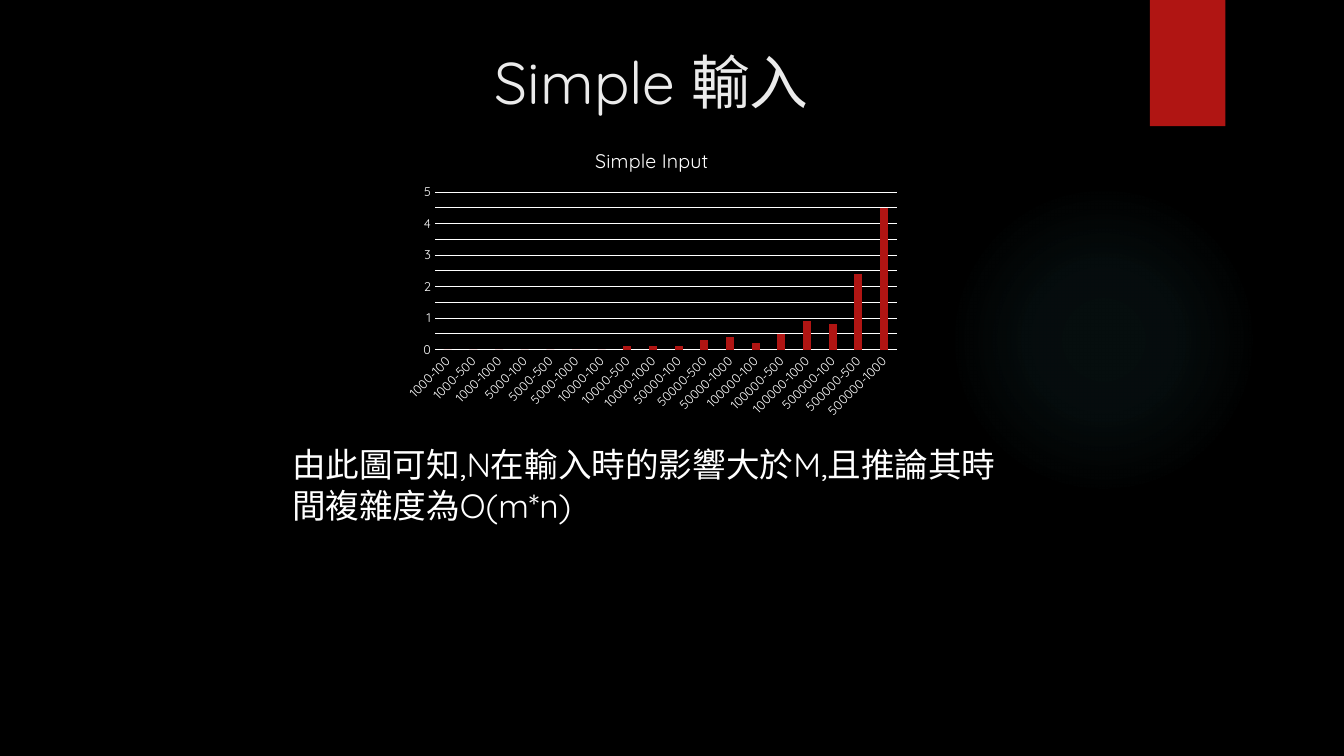
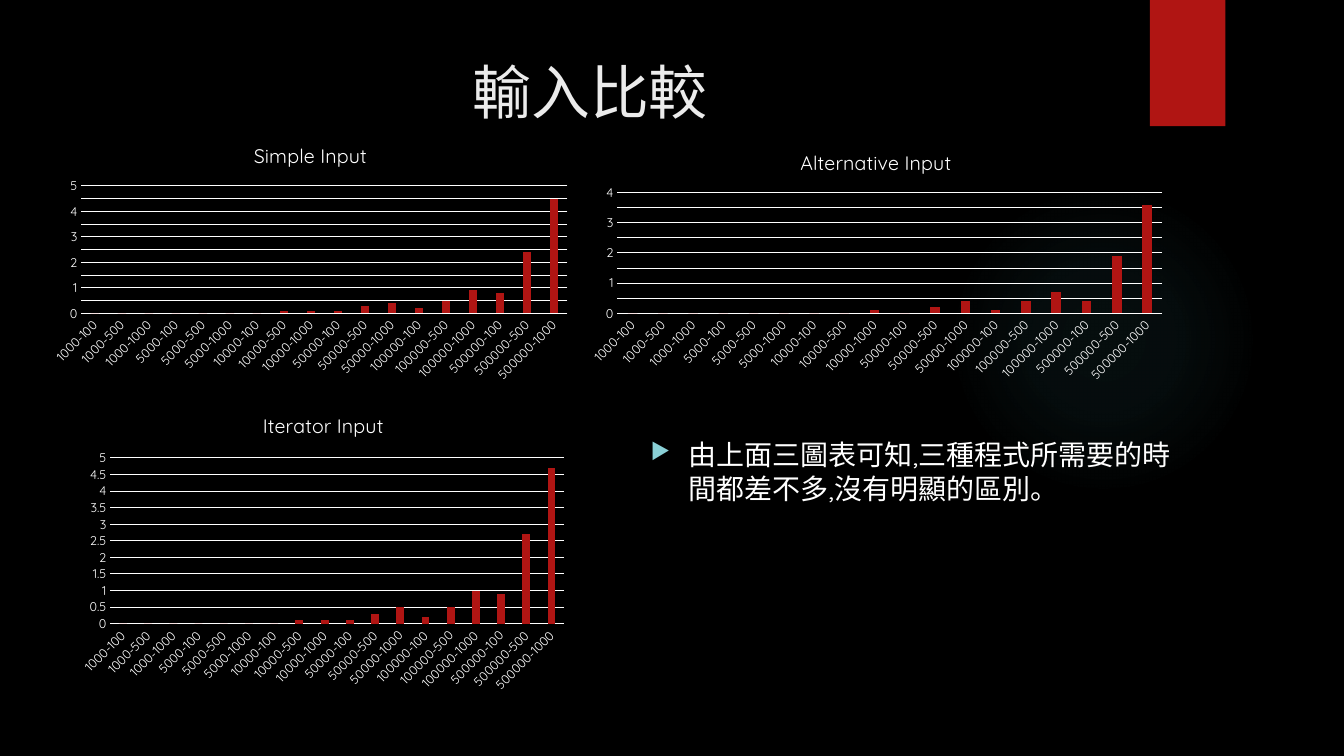
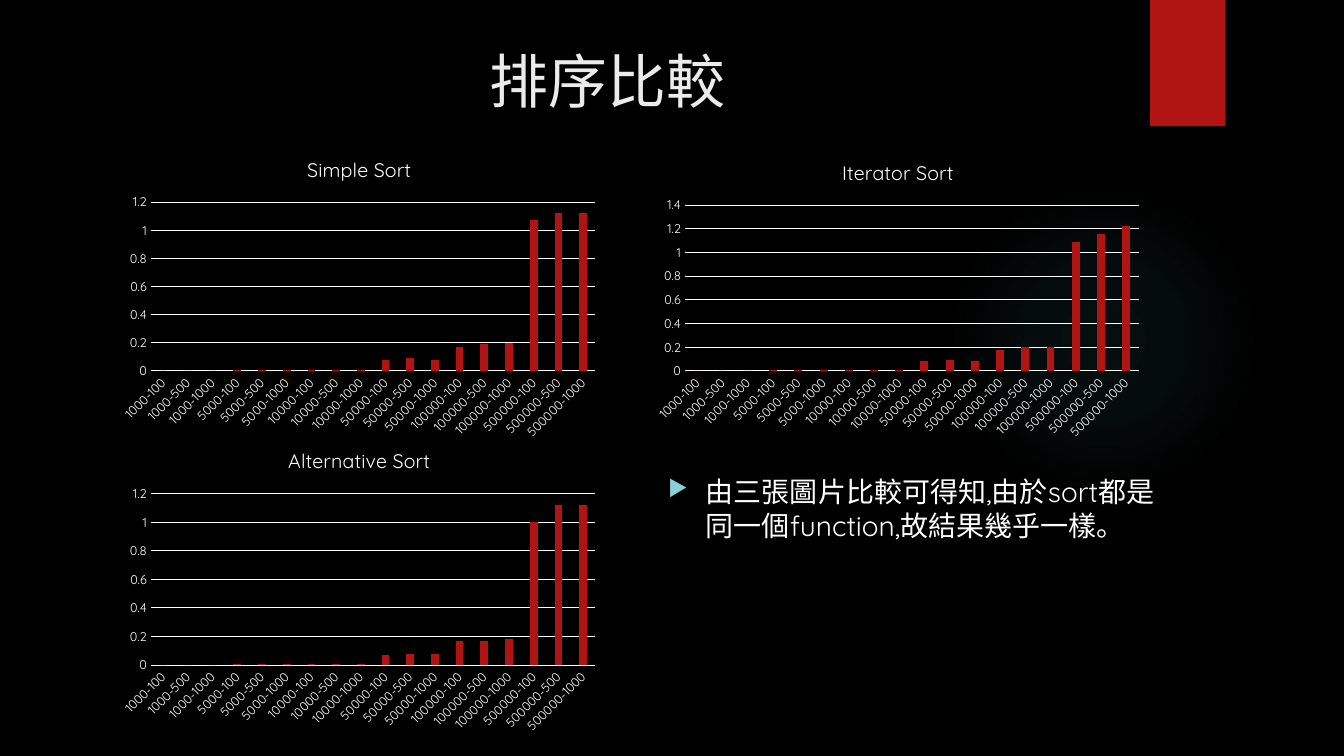
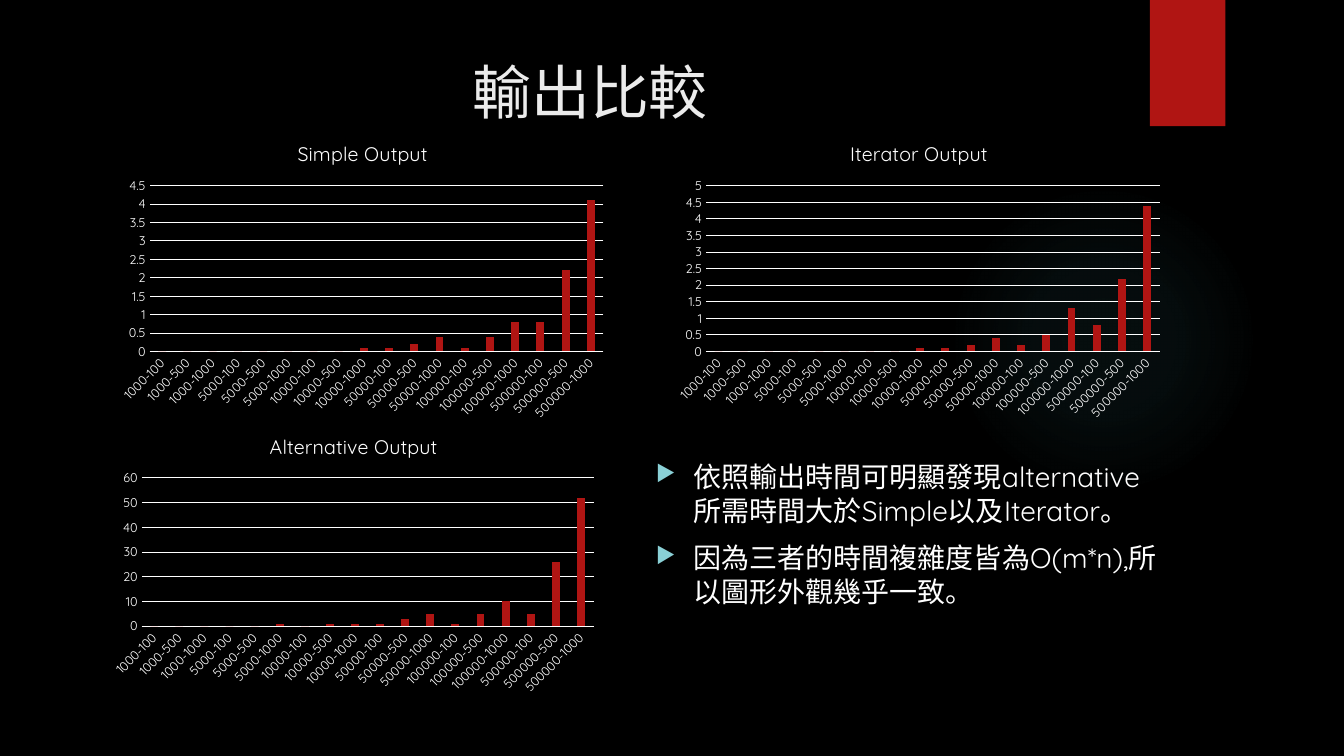
from itertools import product

from lxml import etree
from pptx import Presentation
from pptx.chart.data import CategoryChartData
from pptx.dml.color import RGBColor
from pptx.enum.chart import XL_CHART_TYPE, XL_TICK_MARK
from pptx.enum.shapes import MSO_SHAPE
from pptx.enum.text import PP_ALIGN
from pptx.oxml import parse_xml
from pptx.oxml.ns import qn
from pptx.util import Cm, Pt

COLUMN = XL_CHART_TYPE.COLUMN_CLUSTERED
NO_TICK = XL_TICK_MARK.NONE
RECT, OVAL = MSO_SHAPE.RECTANGLE, MSO_SHAPE.OVAL
LEFT, CENTER = PP_ALIGN.LEFT, PP_ALIGN.CENTER

BLACK, WHITE, PALE = "000000", "FFFFFF", "EBEBEB"
RED, TEAL, AQUA = "B01513", "50B9C1", "8AD0D6"
FONT = "Quicksand"
DRAW = 'xmlns:a="http://schemas.openxmlformats.org/drawingml/2006/main"'
GRAPH = 'xmlns:c="http://schemas.openxmlformats.org/drawingml/2006/chart"'


def rgb(code):
    """Turn a hex string into a colour."""
    return RGBColor.from_string(code)


def style(item, size, code):
    """Set the shared font with a size and colour."""
    looks = {"name": FONT, "size": Pt(size), "bold": False}
    for key, val in looks.items():
        setattr(item, key, val)
    item.color.rgb = rgb(code)


# Text looks: size, colour, alignment, bullet
HEAD = (42, PALE, CENTER, False)
NOTE = (24, WHITE, LEFT, False)
LIST = (20, WHITE, LEFT, True)

# Plot margins within a chart, in cm; the top one also grows with the height
SIDE, EDGE, TOP, GROW, FOOT = 0.98, 0.28, 0.99, 0.075, 1.88

SIZES = (1000, 5000, 10000, 50000, 100000, 500000)
CATS = [f"{n}-{m}" for n, m in product(SIZES, (100, 500, 1000))]

INPUT = [0, 0, 0, 0, 0, 0, 0, 0.1, 0.1, 0.1, 0.3, 0.4, 0.2, 0.5, 0.9, 0.8, 2.4, 4.5]

# Texts: look, box, paragraphs. Charts: title, box, axis top, axis step, values
SLIDES = [
    {
        "texts": [
            (HEAD, (6.53, 1.02, 19.79, 2.29), ["Simple 輸入"]),
            (NOTE, (7.11, 11.07, 18.62, 2.31),
             ["由此圖可知,N在輸入時的影響大於M,且推論其時間複雜度為O(m*n)"
              .replace(",", ",").replace("M", "M")]),
        ],
        "charts": [("Simple Input", (9.98, 3.3, 12.9, 7.39), 5, 0.5, INPUT)],
    },
    {
        "texts": [
            (HEAD, (1.8, 1.27, 26.14, 3.89), ["輸入比較"]),
            (LIST, (16.15, 10.9, 14.07, 6.5),
             ["由上面三圖表可知,三種程式所需要的時間都差不多,沒有明顯的區別。"]),
        ],
        "charts": [
            ("Simple Input", (1.07, 3.2, 13.51, 6.58), 5, 0.5, INPUT),
            ("Alternative Input", (14.58, 3.38, 14.99, 6.4), 4, 0.5,
             [0, 0, 0, 0, 0, 0, 0, 0, 0.1, 0, 0.2, 0.4, 0.1, 0.4, 0.7, 0.4, 1.9, 3.6]),
            ("Iterator Input", (1.8, 9.98, 12.7, 7.62), 5, 0.5,
             [0, 0, 0, 0, 0, 0, 0, 0.1, 0.1, 0.1, 0.3, 0.5, 0.2, 0.5, 1, 0.9, 2.7, 4.7]),
        ],
    },
    {
        "texts": [
            (HEAD, (2.24, 0.99, 26.14, 3.89), ["排序比較"]),
            (LIST, (16.59, 11.84, 13.08, 6.65),
             ["由三張圖片比較可得知,由於sort都是同一個function,故結果幾乎一樣。"]),
        ],
        "charts": [
            ("Simple Sort", (2.82, 3.53, 12.47, 7.7), 1.2, 0.2,
             [0, 0, 0, 0.01, 0.01, 0.01, 0.01, 0.01, 0.01,
              0.08, 0.09, 0.08, 0.17, 0.19, 0.2, 1.07, 1.12, 1.12]),
            ("Alternative Sort", (2.82, 10.87, 12.47, 7.77), 1.2, 0.2,
             [0, 0, 0, 0.01, 0.01, 0.01, 0.01, 0.01, 0.01,
              0.07, 0.08, 0.08, 0.17, 0.17, 0.18, 1, 1.12, 1.12]),
            ("Iterator Sort", (16.28, 3.61, 12.7, 7.62), 1.4, 0.2,
             [0, 0, 0, 0.01, 0.01, 0.01, 0.01, 0.01, 0.01,
              0.08, 0.09, 0.08, 0.18, 0.2, 0.2, 1.09, 1.16, 1.22]),
        ],
    },
    {
        "texts": [
            (HEAD, (1.8, 1.27, 26.14, 3.89), ["輸出比較"]),
            (LIST, (16.28, 11.46, 13.21, 6.43),
             ["依照輸出時間可明顯發現alternative所需時間大於Simple以及Iterator。",
              "因為三者的時間複雜度皆為O(m*n),所以圖形外觀幾乎一致。"]),
        ],
        "charts": [
            ("Alternative Output", (2.59, 10.52, 12.65, 7.14), 60, 10,
             [0, 0, 0, 0, 0, 1, 0, 1, 1, 1, 3, 5, 1, 5, 10, 5, 26, 52]),
            ("Simple Output", (2.79, 3.12, 12.7, 7.62), 4.5, 0.5,
             [0, 0, 0, 0, 0, 0, 0, 0, 0.1, 0.1, 0.2, 0.4, 0.1, 0.4, 0.8, 0.8, 2.2, 4.1]),
            ("Iterator Output", (16.81, 3.12, 12.7, 7.62), 5, 0.5,
             [0, 0, 0, 0, 0, 0, 0, 0, 0.1, 0.1, 0.2, 0.4, 0.2, 0.5, 1.3, 0.8, 2.2, 4.4]),
        ],
    },
]

# Glow stops: place and opacity in percent
stops = "".join(
    f'<a:gs pos="{pos * 1000}"><a:srgbClr val="{TEAL}">'
    f'<a:alpha val="{alpha * 1000}"/></a:srgbClr></a:gs>'
    for pos, alpha in ((0, 7), (36, 6), (69, 0)))
GLOW = (f'<a:gradFill {DRAW}><a:gsLst>{stops}</a:gsLst><a:path path="circle">'
        '<a:fillToRect l="50000" t="50000" r="50000" b="50000"/></a:path></a:gradFill>')
BULLET = (f'<a:buClr {DRAW}><a:srgbClr val="{AQUA}"/></a:buClr>',
          f'<a:buSzPct {DRAW} val="80000"/>',
          f'<a:buChar {DRAW} char="▶"/>')

deck = Presentation()
deck.slide_width, deck.slide_height = Cm(33.87), Cm(19.05)

for plan in SLIDES:
    slide = deck.slides.add_slide(deck.slide_layouts[6])
    back = slide.background.fill
    back.solid()
    back.fore_color.rgb = rgb(BLACK)

    glow = slide.shapes.add_shape(OVAL, Cm(23.9), Cm(4.65), Cm(7.82), Cm(7.82))
    band = slide.shapes.add_shape(RECT, Cm(28.98), Cm(0), Cm(1.9), Cm(3.18))
    for shape in (glow, band):
        shape.shadow.inherit = False
        shape.line.fill.background()
        shape.fill.solid()
        shape.fill.fore_color.rgb = rgb(RED)
    solid = glow.fill._xPr.find(qn("a:solidFill"))
    solid.getparent().replace(solid, parse_xml(GLOW))

    for (size, code, align, dots), area, lines in plan["texts"]:
        frame = slide.shapes.add_textbox(*map(Cm, area)).text_frame
        frame.word_wrap = True
        for num, line in enumerate(lines):
            para = frame.add_paragraph() if num else frame.paragraphs[0]
            para.alignment = align
            run = para.add_run()
            run.text = line
            style(run.font, size, code)
            if dots:
                para.space_before = Pt(10)
                props = para._p.get_or_add_pPr()
                props.set("marL", str(Cm(0.95)))
                props.set("indent", str(Cm(-0.95)))
                for part in BULLET:
                    props.append(parse_xml(part))

    for title, area, top, step, vals in plan["charts"]:
        data = CategoryChartData()
        data.categories = CATS
        data.add_series("Series 1", vals)
        chart = slide.shapes.add_chart(COLUMN, *map(Cm, area), data).chart
        style(chart.font, 10, WHITE)
        chart.has_legend = False
        chart.has_title = True
        chart.chart_title.include_in_layout = False
        head = chart.chart_title.text_frame
        head.text = title
        style(head.paragraphs[0].runs[0].font, 14, WHITE)

        plot = chart.plots[0]
        for key, val in {"gap_width": 219, "overlap": -27, "vary_by_categories": False}.items():
            setattr(plot, key, val)
        bars = plot.series[0].format.fill
        bars.solid()
        bars.fore_color.rgb = rgb(RED)

        cat, value = chart.category_axis, chart.value_axis
        for axis in (cat, value):
            axis.major_tick_mark = axis.minor_tick_mark = NO_TICK
            style(axis.tick_labels.font, 9, WHITE)
        limits = {"minimum_scale": 0, "maximum_scale": top, "major_unit": step,
                  "has_major_gridlines": True}
        for key, val in limits.items():
            setattr(value, key, val)
        value.tick_labels.number_format = "General"
        value.tick_labels.number_format_is_linked = False
        value.format.line.fill.background()
        for rule in (cat.format.line, value.major_gridlines.format.line):
            rule.width = Pt(0.75)
            rule.color.rgb = rgb(WHITE)
        turn = cat._element.find(qn("c:txPr")).find(qn("a:bodyPr"))
        turn.set("rot", "-2700000")
        turn.set("vert", "horz")

        wide, high = area[2:]
        rise = TOP + GROW * high
        spots = {"x": SIDE / wide, "y": rise / high,
                 "w": (wide - SIDE - EDGE) / wide, "h": (high - rise - FOOT) / high}
        root = chart._chartSpace.chart.plotArea
        for old in root.findall(qn("c:layout")):
            root.remove(old)
        layout = parse_xml(f"<c:layout {GRAPH}/>")
        manual = etree.SubElement(layout, qn("c:manualLayout"))
        modes = {"layoutTarget": "inner", "xMode": "edge", "yMode": "edge"}
        for key, val in {**modes, **spots}.items():
            etree.SubElement(manual, qn(f"c:{key}")).set("val", str(val))
        root.insert(0, layout)

deck.save("out.pptx")
